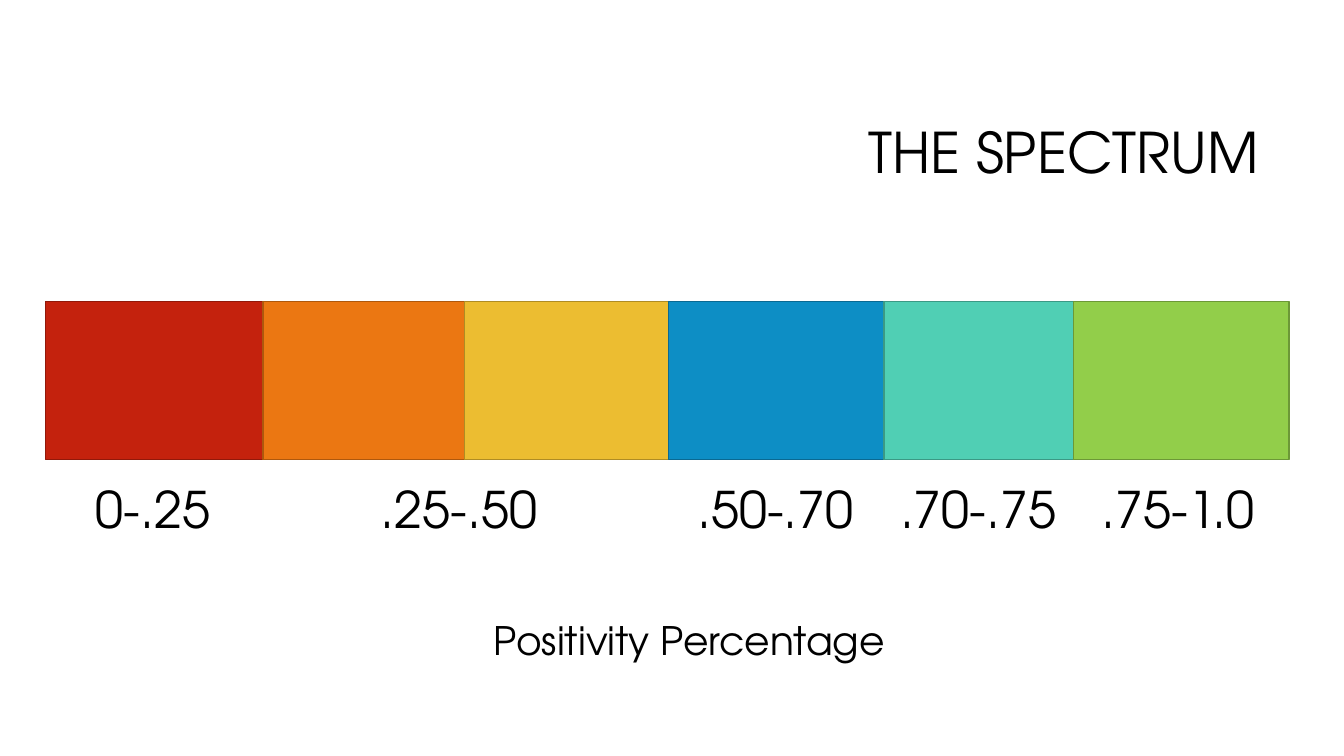
from itertools import pairwise

from pptx import Presentation
from pptx.dml.color import RGBColor
from pptx.enum.shapes import MSO_SHAPE
from pptx.enum.text import MSO_ANCHOR, PP_ALIGN
from pptx.util import Pt

FONT = "TeX Gyre Adventor"
BAND_TOP, BAND_HEIGHT = 215.3, 113
BAND_EDGES = [32.4, 187.9, 331.9, 477.4, 631.4, 766.8, 920.9]
BAND_COLORS = [  # fill, outline
    ("C4220D", "91190A"),
    ("EB7712", "AE580D"),
    ("ECBD31", "AF8C24"),
    ("0D8EC5", "0A6992"),
    ("50CFB4", "3B9985"),
    ("92CE4A", "6C9837"),
]
LABEL_TOP, LABEL_HEIGHT = 337.7, 51
RANGE_LABELS = [  # text, left, width
    ("0-.25", 61.2, 97.2),
    (".25-.50", 265, 230.4),
    (".50-.70", 491, 127.4),
    (".70-.75", 635.8, 127.4),
    (".75-1.0", 779.8, 127.4),
]


def color(hex_value):
    return RGBColor.from_string(hex_value)


def add_band(slide, left, right, fill, outline):
    shape = slide.shapes.add_shape(
        MSO_SHAPE.RECTANGLE, Pt(left), Pt(BAND_TOP), Pt(right - left), Pt(BAND_HEIGHT)
    )
    shape.shadow.inherit = False
    shape.fill.solid()
    shape.fill.fore_color.rgb = color(fill)
    shape.line.color.rgb = color(outline)
    shape.line.width = Pt(1)


def add_text(slide, text, left, top, width, height, size, wrap=False):
    text_box = slide.shapes.add_textbox(Pt(left), Pt(top), Pt(width), Pt(height))
    text_frame = text_box.text_frame
    text_frame.word_wrap = wrap
    text_frame.text = text
    font = text_frame.paragraphs[0].runs[0].font
    font.name = FONT
    font.size = Pt(size)
    font.color.rgb = color("000000")
    return text_frame


def add_title(slide, text):
    text_frame = add_text(slide, text, 228.2, 60.5, 678.2, 101.5, 40, wrap=True)
    text_frame.vertical_anchor = MSO_ANCHOR.MIDDLE
    paragraph = text_frame.paragraphs[0]
    paragraph.alignment = PP_ALIGN.RIGHT
    paragraph.line_spacing = 0.9


def main():
    presentation = Presentation()
    presentation.slide_width, presentation.slide_height = Pt(960), Pt(540)
    slide = presentation.slides.add_slide(presentation.slide_layouts[6])

    add_title(slide, "THE SPECTRUM")
    for (left, right), (fill, outline) in zip(pairwise(BAND_EDGES), BAND_COLORS):
        add_band(slide, left, right, fill, outline)
    for text, left, width in RANGE_LABELS:
        add_text(slide, text, left, LABEL_TOP, width, LABEL_HEIGHT, 36)
    add_text(slide, "Positivity Percentage", 345.6, 437, 299.5, 41, 28)

    presentation.save("out.pptx")


if __name__ == "__main__":
    main()
